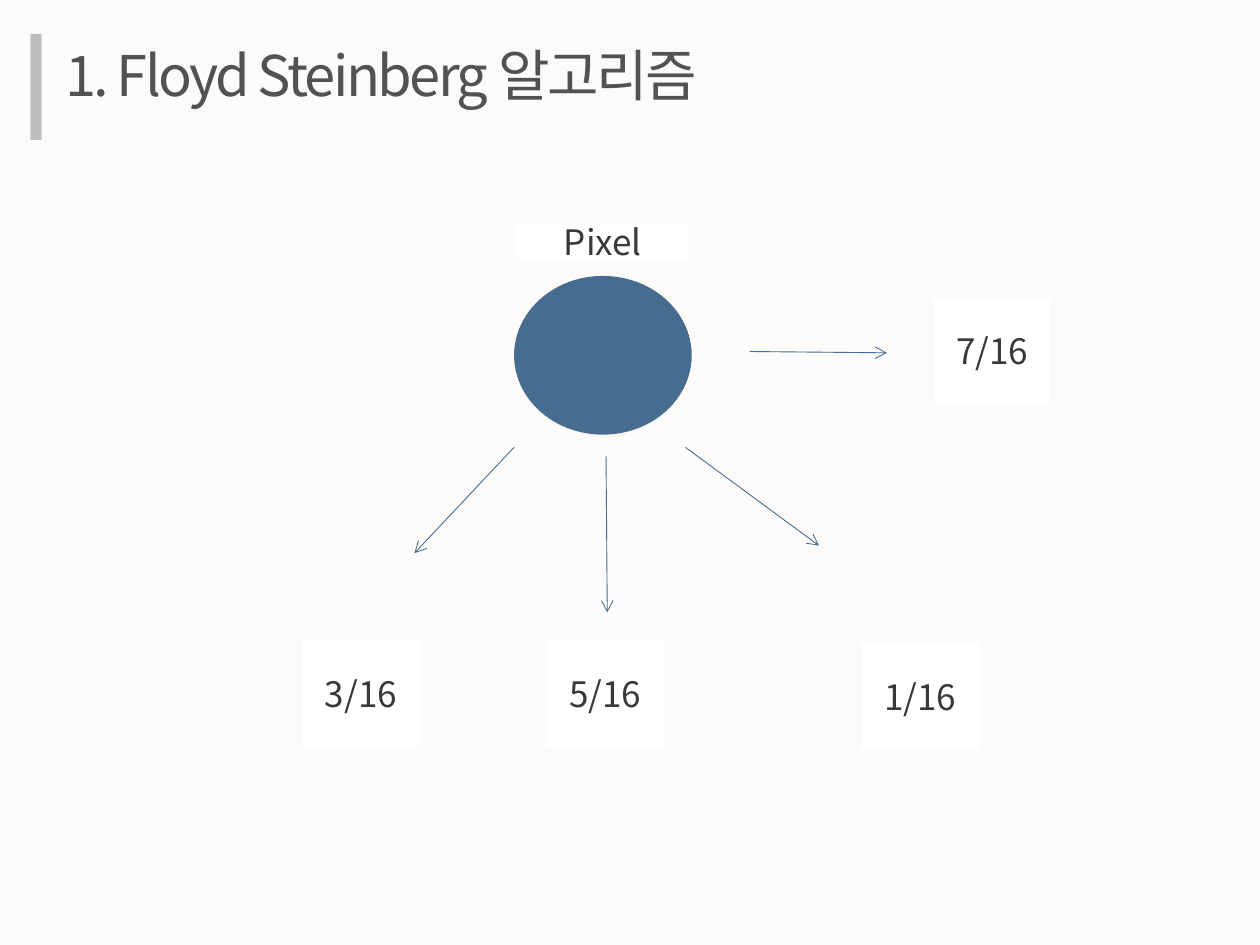
import pptx
import pptx.util
import pptx.dml.color
import pptx.enum.shapes
import pptx.enum.text
import pptx.oxml.ns
import lxml.etree

Inches = pptx.util.Inches
Pt = pptx.util.Pt
SHAPES = pptx.enum.shapes.MSO_SHAPE
TYPEFACE = "Noto Sans CJK KR"
qn = pptx.oxml.ns.qn


def color(hex_code):
    return pptx.dml.color.RGBColor.from_string(hex_code)


def add_block(kind, left, top, width, height, fill, label=""):
    block = slide.shapes.add_shape(kind, Inches(left), Inches(top), Inches(width), Inches(height))
    block.shadow.inherit = False
    block.fill.solid()
    block.fill.fore_color.rgb = color(fill)
    block.line.fill.background()
    if label:
        frame = block.text_frame
        frame.text = label
        frame.vertical_anchor = pptx.enum.text.MSO_ANCHOR.MIDDLE
        paragraph = frame.paragraphs[0]
        paragraph.alignment = pptx.enum.text.PP_ALIGN.CENTER
        paragraph.font.name = TYPEFACE
        paragraph.font.size = Pt(20)
        paragraph.font.color.rgb = color("3A3838")


deck = pptx.Presentation()
deck.slide_width = Inches(10)
deck.slide_height = Inches(7.5)
slide = deck.slides.add_slide(deck.slide_layouts[5])
slide.background.fill.solid()
slide.background.fill.fore_color.rgb = color("FCFBFA")

title = slide.shapes.title
title.left, title.top = Inches(0.42), Inches(0.27)
title.width, title.height = Inches(5.35), Inches(0.64)
title_frame = title.text_frame
title_frame.text = "1. Floyd Steinberg 알고리즘"
title_frame.word_wrap = False
title_frame.auto_size = pptx.enum.text.MSO_AUTO_SIZE.SHAPE_TO_FIT_TEXT
title_frame.vertical_anchor = pptx.enum.text.MSO_ANCHOR.TOP
heading = title_frame.paragraphs[0]
heading.alignment = pptx.enum.text.PP_ALIGN.LEFT
heading_font = heading.runs[0].font
heading_font.name = TYPEFACE
heading_font.size = Pt(32)
heading_font.color.rgb = color("525252")
heading_properties = heading.runs[0]._r.get_or_add_rPr()
heading_properties.set("spc", "-150")
lxml.etree.SubElement(heading_properties, qn("a:ea"), typeface=TYPEFACE)

add_block(SHAPES.RECTANGLE, 0.24, 0.27, 0.09, 0.84, "BFBDBD")
add_block(SHAPES.OVAL, 4.08, 2.19, 1.41, 1.26, "466C8F")

error_paths = [
    (5.95, 2.79, 7.04, 2.8),
    (5.44, 3.55, 6.5, 4.33),
    (4.81, 3.62, 4.82, 4.86),
    (4.08, 3.55, 3.29, 4.39),
]
for error_path in error_paths:
    arrow = slide.shapes.add_connector(
        pptx.enum.shapes.MSO_CONNECTOR.STRAIGHT, *map(Inches, error_path))
    arrow.line.color.rgb = color("466C8F")
    arrow.line.width = Pt(0.5)
    lxml.etree.SubElement(arrow.line._get_or_add_ln(), qn("a:tailEnd"), type="arrow")
    lxml.etree.SubElement(arrow._element.spPr, qn("a:effectLst"))

weights = [
    ("7/16", 7.41, 2.36),
    ("5/16", 4.34, 5.08),
    ("1/16", 6.84, 5.1),
    ("3/16", 2.4, 5.08),
]
for weight, left, top in weights:
    add_block(SHAPES.RECTANGLE, left, top, 0.93, 0.85, "FFFFFF", weight)

add_block(SHAPES.RECTANGLE, 4.1, 1.77, 1.37, 0.29, "FFFFFF", "Pixel")

deck.save("out.pptx")
